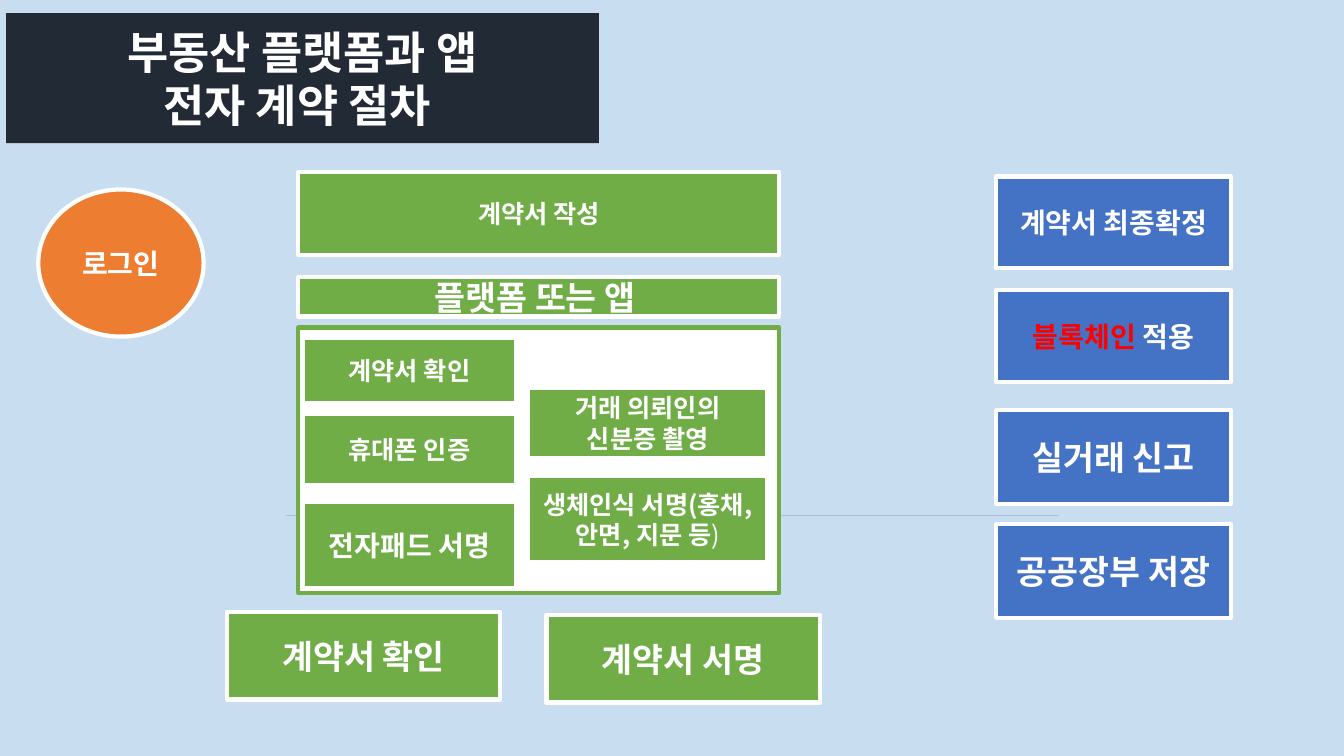
import pptx
import pptx.dml.color
import pptx.enum.shapes
import pptx.enum.text
import pptx.oxml
import pptx.oxml.ns
import pptx.util
from lxml import etree

SLIDE_WIDTH, SLIDE_HEIGHT = 13.33, 7.5
FONT = "Noto Sans CJK KR"
WHITE, GREEN, BLUE, ORANGE = "FFFFFF", "70AD47", "4472C4", "ED7D31"
RED, NAVY, SKY, SLATE = "FF0000", "222A35", "BDD7EE", "44546A"
SKY_OPACITY = 83

TITLE = ["부동산 플랫폼과 앱", "전자 계약 절차 "]

# Columns of the layout: left and width in inches
COLUMNS = {
    "title": (0.06, 5.88),
    "login": (0.38, 1.64),
    "main": (2.96, 4.77),
    "check": (3, 2.12),
    "identity": (5.24, 2.37),
    "review": (2.25, 2.71),
    "signing": (5.42, 2.71),
    "final": (9.88, 2.33),
}
TITLE_ROW = (0.13, 1.29)
PANEL_ROW = (3.25, 2.63)
DIVIDER = (2.84, 10.5, 5.11)

# Column, top, height, fill, text size, runs as (text, format differences)
STEPS = [
    ("login", 1.88, 1.46, ORANGE, 20, [("로그인", {})]),
    ("main", 1.71, 0.82, GREEN, 18, [("계약서 작성", {})]),
    ("main", 2.75, 0.39, GREEN, 24, [("플랫폼 또는 앱 ", {})]),
    ("check", 3.35, 0.65, GREEN, 18, [("계약서 확인", {})]),
    ("check", 4.11, 0.7, GREEN, 18, [("휴대폰 인증", {})]),
    ("check", 4.98, 0.86, GREEN, 20, [("전자패드 서명", {})]),
    ("identity", 3.85, 0.69, GREEN, 18, [("거래 의뢰인의 신분증 촬영", {})]),
    ("identity", 4.72, 0.86, GREEN, 18,
     [("생체인식 서명(홍채, 안면, 지문 등", {}), (")", {"bold": False})]),
    ("review", 6.07, 0.87, GREEN, 24, [("계약서 확인", {})]),
    ("signing", 6.1, 0.87, GREEN, 24, [("계약서 서명", {})]),
    ("final", 1.75, 0.91, BLUE, 20, [("계약서 최종확정", {})]),
    ("final", 2.88, 0.91, BLUE, 20, [("블록체인", {"color": RED}), (" 적용", {})]),
    ("final", 4.07, 0.93, BLUE, 24, [("실거래 신고", {})]),
    ("final", 5.2, 0.93, BLUE, 24, [("공공장부 저장", {})]),
]


def rgb(color):
    return pptx.dml.color.RGBColor.from_string(color)


def inches(*lengths):
    return [pptx.util.Inches(length) for length in lengths]


def add_block(shapes, kind, column, row, fill, outline=None):
    """Add a flat shape spanning a (left, width) column and a (top, height) row."""
    (left, width), (top, height) = column, row
    block = shapes.add_shape(kind, *inches(left, top, width, height))
    block.shadow.inherit = False
    block.fill.solid()
    block.fill.fore_color.rgb = rgb(fill)
    if outline:
        block.line.color.rgb = rgb(outline)
        block.line.width = pptx.util.Pt(3)
    else:
        block.line.fill.background()
    return block


def write(paragraph, runs, size):
    paragraph.alignment = pptx.enum.text.PP_ALIGN.CENTER
    paragraph.line_spacing = 1.0
    paragraph.space_before = pptx.util.Pt(0)
    for text, differences in runs:
        run = paragraph.add_run()
        run.text = text
        style = {"bold": True, "color": WHITE, **differences}
        run.font.color.rgb = rgb(style.pop("color"))
        style.update(name=FONT, size=pptx.util.Pt(size))
        for attribute, value in style.items():
            setattr(run.font, attribute, value)
        east_asian = etree.SubElement(run.font._element, pptx.oxml.ns.qn("a:ea"))
        east_asian.set("typeface", FONT)


def add_divider(shapes):
    start, end, level = DIVIDER
    divider = shapes.add_connector(pptx.enum.shapes.MSO_CONNECTOR.STRAIGHT,
                                   *inches(start, level, end, level))
    divider.line.color.rgb = rgb(SLATE)
    divider.line.width = pptx.util.Pt(0.5)
    etree.SubElement(divider.element.spPr, pptx.oxml.ns.qn("a:effectLst"))


def add_backdrop(shapes):
    backdrop = add_block(shapes, pptx.enum.shapes.MSO_SHAPE.RECTANGLE,
                         (-0.08, SLIDE_WIDTH + 0.09), (0, SLIDE_HEIGHT), SKY)
    color = backdrop.element.spPr.find(".//" + pptx.oxml.ns.qn("a:srgbClr"))
    alpha = etree.SubElement(color, pptx.oxml.ns.qn("a:alpha"))
    alpha.set("val", str(SKY_OPACITY * 1000))
    return backdrop


def fill_title(title):
    (left, width), (top, height) = COLUMNS["title"], TITLE_ROW
    title.left, title.top, title.width, title.height = inches(left, top, width, height)
    title.fill.solid()
    title.fill.fore_color.rgb = rgb(NAVY)
    frame = title.text_frame
    frame.auto_size = pptx.enum.text.MSO_AUTO_SIZE.NONE
    frame.vertical_anchor = pptx.enum.text.MSO_ANCHOR.MIDDLE
    frame.add_paragraph()
    for paragraph, text in zip(frame.paragraphs, TITLE):
        write(paragraph, [(text, {})], 32)


def main():
    deck = pptx.Presentation()
    deck.slide_width, deck.slide_height = inches(SLIDE_WIDTH, SLIDE_HEIGHT)
    slide = deck.slides.add_slide(deck.slide_layouts[5])
    shapes = slide.shapes
    preset = pptx.enum.shapes.MSO_SHAPE

    add_divider(shapes)
    backdrop = add_backdrop(shapes)
    fill_title(shapes.title)
    backdrop.element.addnext(shapes.title.element)
    add_block(shapes, preset.RECTANGLE, COLUMNS["main"], PANEL_ROW, WHITE, GREEN)

    for column, top, height, fill, size, runs in STEPS:
        kind = preset.OVAL if column == "login" else preset.RECTANGLE
        step = add_block(shapes, kind, COLUMNS[column], (top, height), fill, WHITE)
        step.text_frame.vertical_anchor = pptx.enum.text.MSO_ANCHOR.MIDDLE
        write(step.text_frame.paragraphs[0], runs, size)

    deck.save("out.pptx")


if __name__ == "__main__":
    main()
